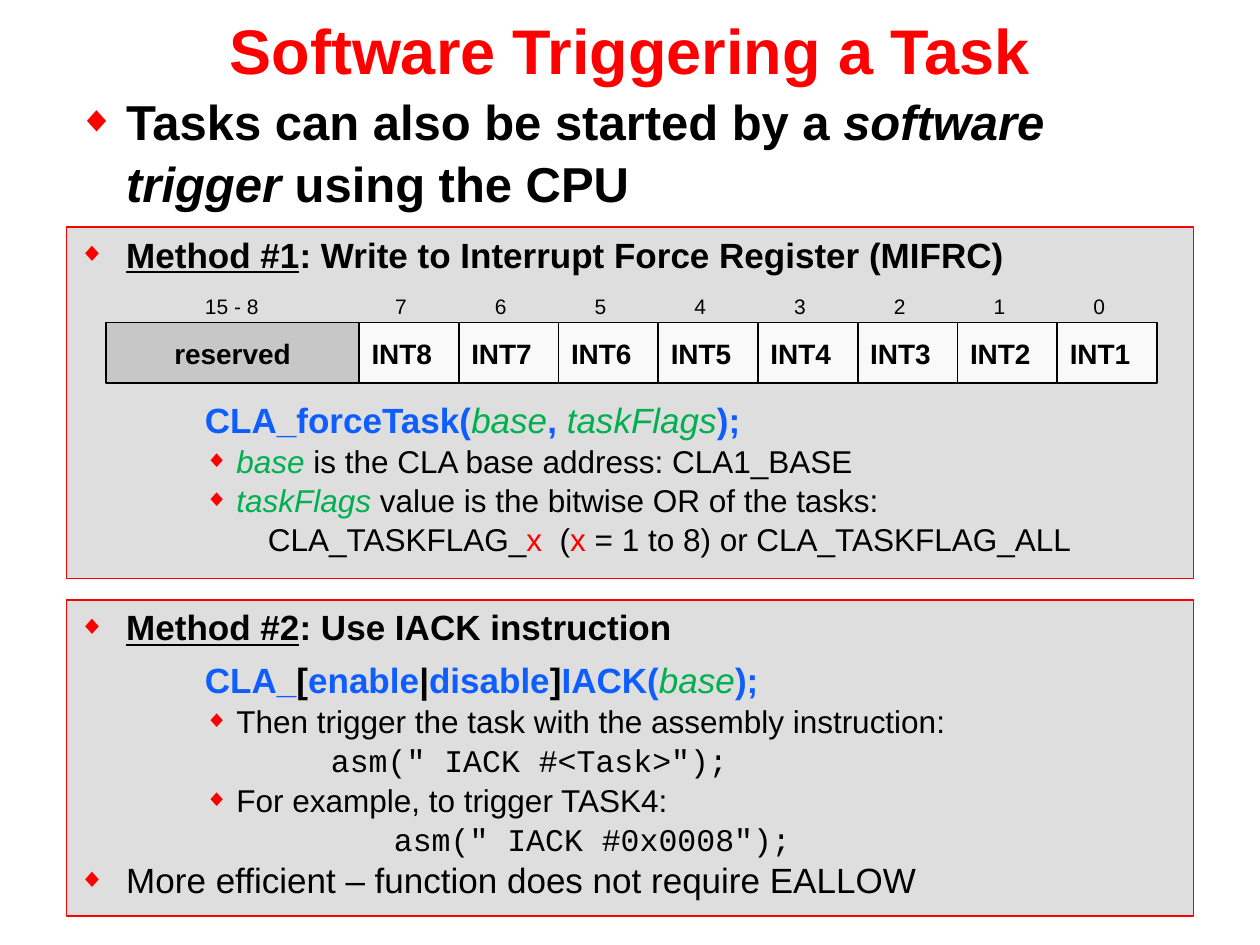
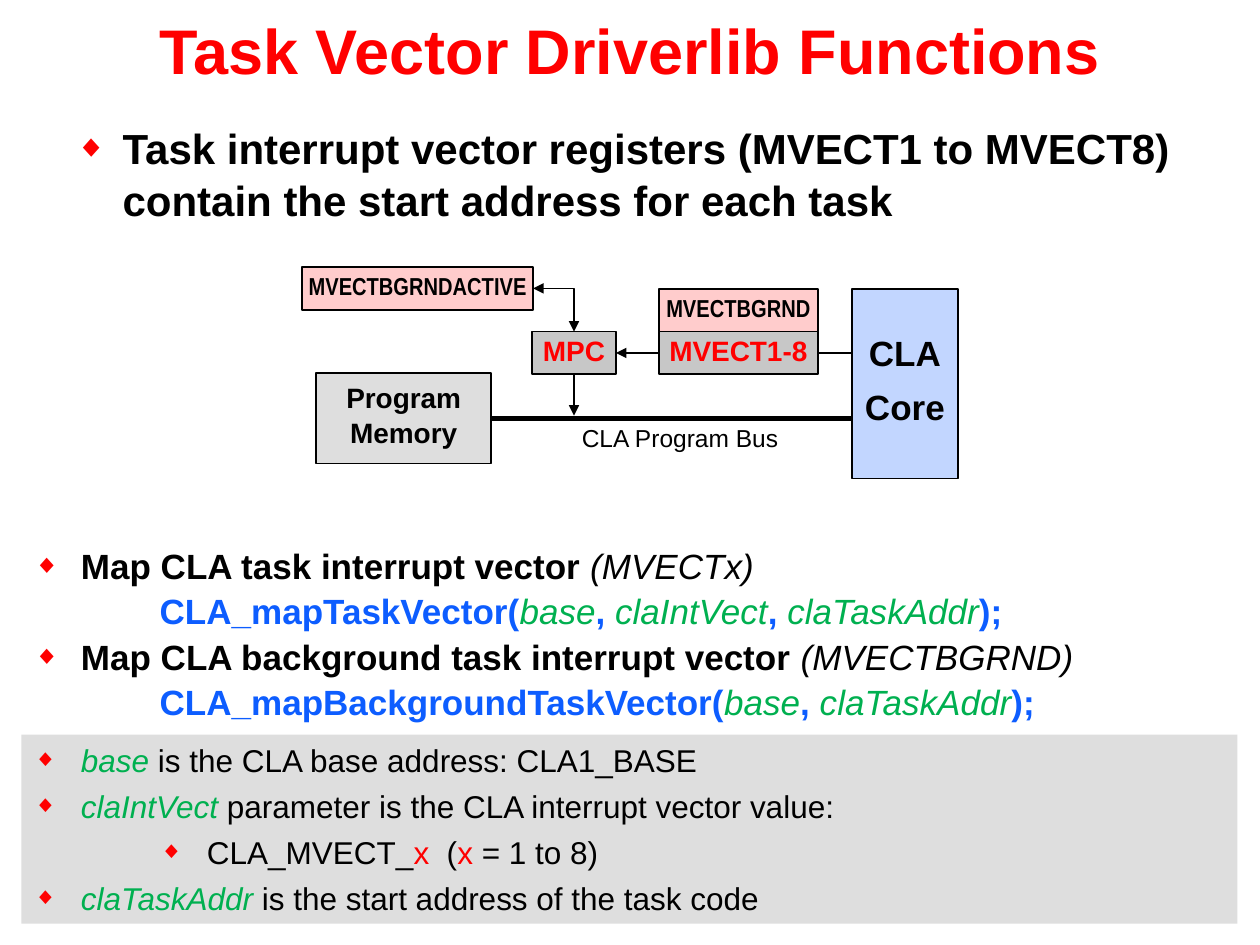
"""Build two slides on triggering CLA tasks and mapping their vectors."""
from lxml.etree import SubElement
from pptx import Presentation
from pptx.dml.color import RGBColor
from pptx.enum.shapes import MSO_CONNECTOR, MSO_SHAPE
from pptx.enum.text import MSO_ANCHOR, PP_ALIGN
from pptx.oxml.ns import qn
from pptx.util import Pt

RED = RGBColor(0xFF, 0x00, 0x00)
BLACK = RGBColor(0x00, 0x00, 0x00)
BLUE = RGBColor(0x0D, 0x5D, 0xFF)
GREEN = RGBColor(0x00, 0xB0, 0x50)
PANEL = RGBColor(0xDE, 0xDE, 0xDE)
GRAY = RGBColor(0xC7, 0xC7, 0xC7)
OFF_WHITE = RGBColor(0xF9, 0xF9, 0xF9)
PINK = RGBColor(0xFF, 0xCC, 0xCC)
PALE_BLUE = RGBColor(0xC2, 0xD6, 0xFF)

PLAIN = (BLACK, False, False, False)
BOLD = (BLACK, True, False, False)
BOLD_ITALIC = (BLACK, True, True, False)
ITALIC = (BLACK, False, True, False)
HEADING = (BLACK, True, False, True)
TITLE = (RED, True, False, False)
CODE = (BLUE, True, False, False)
ARG = (GREEN, False, True, False)
VAR = (RED, False, False, False)


def add_box(s, at, fill=None, line=None, anchor=MSO_ANCHOR.TOP, inset=7.2, wrap=True):
    """Add a rectangle, or a text box when there is no fill."""
    at = [Pt(v) for v in at]
    if fill is None:
        sp = s.shapes.add_textbox(*at)
    else:
        sp = s.shapes.add_shape(MSO_SHAPE.RECTANGLE, *at)
        sp.shadow.inherit = False
        sp.fill.solid()
        sp.fill.fore_color.rgb = fill
        if line is None:
            sp.line.fill.background()
        else:
            sp.line.color.rgb = line
            sp.line.width = Pt(1)
    tf = sp.text_frame
    tf.word_wrap = wrap
    tf.vertical_anchor = anchor
    tf.margin_left = tf.margin_right = Pt(inset)
    return sp


def add_para(sp, size, runs, left=0, hang=0, before=0, after=0, spacing=1.0,
             font="Arial", align=PP_ALIGN.LEFT):
    """Add a paragraph of styled runs, bulleted when it has a hanging indent."""
    tf = sp.text_frame
    p = tf.paragraphs[0] if not tf.paragraphs[0].runs else tf.add_paragraph()
    pPr = p._p.get_or_add_pPr()
    pPr.set("marL", str(Pt(left)))
    pPr.set("indent", str(Pt(-hang)))
    if hang:
        color = SubElement(SubElement(pPr, qn("a:buClr")), qn("a:srgbClr"))
        color.set("val", str(RED))
        SubElement(pPr, qn("a:buSzPct")).set("val", "75000")
        SubElement(pPr, qn("a:buFont")).set("typeface", "Arial")
        SubElement(pPr, qn("a:buChar")).set("char", "◆")
    p.alignment = align
    p.line_spacing = spacing
    p.space_before = Pt(before)
    p.space_after = Pt(after)
    for text, (color, bold, italic, underline) in runs:
        r = p.add_run()
        r.text = text
        r.font.name = font
        r.font.size = Pt(size)
        r.font.color.rgb = color
        r.font.bold = bold
        r.font.italic = italic
        r.font.underline = underline


prs = Presentation()
prs.slide_width, prs.slide_height = Pt(720), Pt(540)

slides = []
for title in ("Software Triggering a Task", "Task Vector Driverlib Functions"):
    s = prs.slides.add_slide(prs.slide_layouts[6])
    sp = add_box(s, (0, 0, 720, 56), anchor=MSO_ANCHOR.MIDDLE)
    add_para(sp, 36, [(title, TITLE)], align=PP_ALIGN.CENTER)
    slides.append(s)
trigger, vectors = slides

sp = add_box(trigger, (38, 47, 644, 70))
add_para(sp, 28, [("Tasks can also be started by a ", BOLD), ("software trigger", BOLD_ITALIC),
                  (" using the CPU", BOLD)], 27, 27, spacing=1.05)

sp = add_box(trigger, (38, 129.6, 644, 201), PANEL, RED)
add_para(sp, 20, [("Method #1", HEADING),
                  (": Write to Interrupt Force Register (MIFRC)", BOLD)], 27, 27)
add_para(sp, 20, [("CLA_forceTask(", CODE), ("base", ARG), (", ", CODE),
                  ("taskFlags", ARG), (");", CODE)], 72, before=75, spacing=0.8)
for left, hang, runs in (
    (90, 18, [("base", ARG), (" is the CLA base address: CLA1_BASE", PLAIN)]),
    (90, 18, [("taskFlags", ARG), (" value is the bitwise OR of the tasks:", PLAIN)]),
    (108, 0, [("CLA_TASKFLAG_", PLAIN), ("x", VAR), ("  (", PLAIN), ("x", VAR),
              (" = 1 to 8) or CLA_TASKFLAG_ALL", PLAIN)]),
):
    add_para(sp, 18, runs, left, hang, before=5.2, spacing=0.8)

sp = add_box(trigger, (60.5, 184.3, 144.7, 34.6), GRAY, BLACK, MSO_ANCHOR.MIDDLE)
add_para(sp, 16, [("reserved", BOLD)], align=PP_ALIGN.CENTER)
sp = add_box(trigger, (110, 167, 46, 19), wrap=False)
add_para(sp, 12, [("15 - 8", PLAIN)], spacing=0.8)
for i in range(8):
    x = 205.2 + 57 * i
    sp = add_box(trigger, (x, 184.3, 57, 34.6), OFF_WHITE, BLACK, MSO_ANCHOR.MIDDLE)
    add_para(sp, 16, [(f"INT{8 - i}", BOLD)])
    sp = add_box(trigger, (x + 13.5, 167, 21, 19), wrap=False)
    add_para(sp, 12, [(str(7 - i), PLAIN)], spacing=0.8)

sp = add_box(trigger, (38, 342.7, 644, 180.7), PANEL, RED)
add_para(sp, 20, [("Method #2", HEADING), (": Use IACK instruction", BOLD)], 27, 27)
add_para(sp, 20, [("CLA_", CODE), ("[", BOLD), ("enable", CODE), ("|", BOLD), ("disable", CODE),
                  ("]", BOLD), ("IACK(", CODE), ("base", ARG), (");", CODE)], 72, before=5.8)
for size, left, hang, font, text in (
    (18, 90, 18, "Arial", "Then trigger the task with the assembly instruction:"),
    (18, 144, 0, "Courier New", 'asm(" IACK #<Task>");'),
    (18, 90, 18, "Arial", "For example, to trigger TASK4:"),
    (18, 180, 0, "Courier New", 'asm(" IACK #0x0008");'),
    (20, 27, 27, "Arial", "More efficient – function does not require EALLOW"),
):
    add_para(sp, size, [(text, PLAIN)], left, hang, before=5.2, spacing=0.8, font=font)

sp = add_box(vectors, (36, 65.5, 648, 65))
add_para(sp, 24, [("Task interrupt vector registers (MVECT1 to MVECT8) contain the start "
                   "address for each task", BOLD)], 27, 27, spacing=1.03)

sp = add_box(vectors, (12.2, 307.4, 695.5, 108.7))
for label, register, function, args in (
    ("Map CLA task interrupt vector ", "(MVECTx)", "CLA_mapTaskVector(",
     ("base", "claIntVect", "claTaskAddr")),
    ("Map CLA background task interrupt vector ", "(MVECTBGRND)",
     "CLA_mapBackgroundTaskVector(", ("base", "claTaskAddr")),
):
    add_para(sp, 20, [(label, BOLD), (register, ITALIC)], 27, 27, after=2)
    call = [(function, CODE)]
    for arg in args:
        call += [(arg, ARG), (", ", CODE)]
    call[-1] = (");", CODE)
    add_para(sp, 20, call, 72, after=2)

sp = add_box(vectors, (12.2, 419.8, 695, 108), PANEL)
for i, (left, runs) in enumerate((
    (27, [("base", ARG), (" is the CLA base address: CLA1_BASE", PLAIN)]),
    (27, [("claIntVect", ARG), (" parameter is the CLA interrupt vector value:", PLAIN)]),
    (99, [("CLA_MVECT_", PLAIN), ("x", VAR), ("  (", PLAIN), ("x", VAR), (" = 1 to 8)", PLAIN)]),
    (27, [("claTaskAddr", ARG), (" is the start address of the task code", PLAIN)]),
)):
    add_para(sp, 18, runs, left, 27, before=4.7 if i else 0)

blocks = {}
for lines, at, fill, size, font, style, gap in (
    (("Program", "Memory"), (180.7, 213, 100, 52), PANEL, 16, "Arial", BOLD, 4.6),
    (("MPC",), (304, 189.5, 48, 24.4), GRAY, 16, "Arial", TITLE, 0),
    (("MVECT1-8",), (376.5, 189.5, 91, 24.4), GRAY, 16, "Arial", TITLE, 0),
    (("MVECTBGRND",), (376.5, 165, 91, 24.4), PINK, 14, "Arial Narrow", BOLD, 0),
    (("MVECTBGRNDACTIVE",), (172.7, 152.6, 132, 24.4), PINK, 14, "Arial Narrow", BOLD, 0),
    (("CLA", "Core"), (486.7, 165, 60.8, 108.5), PALE_BLUE, 20, "Arial", BOLD, 11.5),
):
    sp = add_box(vectors, at, fill, BLACK, MSO_ANCHOR.MIDDLE, 0, False)
    for i, text in enumerate(lines):
        add_para(sp, size, [(text, style)], before=gap if i else 0, spacing=0.8,
                 font=font, align=PP_ALIGN.CENTER)
    blocks[lines[0]] = sp

sp = add_box(vectors, (325.4, 241.2, 127.4, 21), wrap=False)
add_para(sp, 14, [("CLA Program Bus", PLAIN)], spacing=0.8)

STRAIGHT, ELBOW = MSO_CONNECTOR.STRAIGHT, MSO_CONNECTOR.ELBOW
for kind, start, side, end, end_side, width, arrows in (
    (STRAIGHT, "Program", 3, (486.7, 239), None, 3, ()),
    (STRAIGHT, "MVECT1-8", 1, "MPC", 3, 1, ("tailEnd",)),
    (STRAIGHT, "MVECT1-8", 3, (486.7, 201.7), None, 1, ()),
    (STRAIGHT, "MPC", 2, (328, 237.5), None, 1, ("tailEnd",)),
    (ELBOW, "MVECTBGRNDACTIVE", 3, "MPC", 0, 1, ("headEnd", "tailEnd")),
):
    x, y = (0, 0) if end_side is not None else end
    cx = vectors.shapes.add_connector(kind, 0, 0, Pt(x), Pt(y))
    cx.begin_connect(blocks[start], side)
    if end_side is not None:
        cx.end_connect(blocks[end], end_side)
    cx.line.color.rgb = BLACK
    cx.line.width = Pt(width)
    spPr = cx._element.spPr
    if kind == ELBOW:
        spPr.find(qn("a:prstGeom")).set("prst", "bentConnector2")
    for arrow in arrows:
        SubElement(spPr.find(qn("a:ln")), qn(f"a:{arrow}")).set("type", "triangle")
    SubElement(spPr, qn("a:effectLst"))

prs.save("out.pptx")
